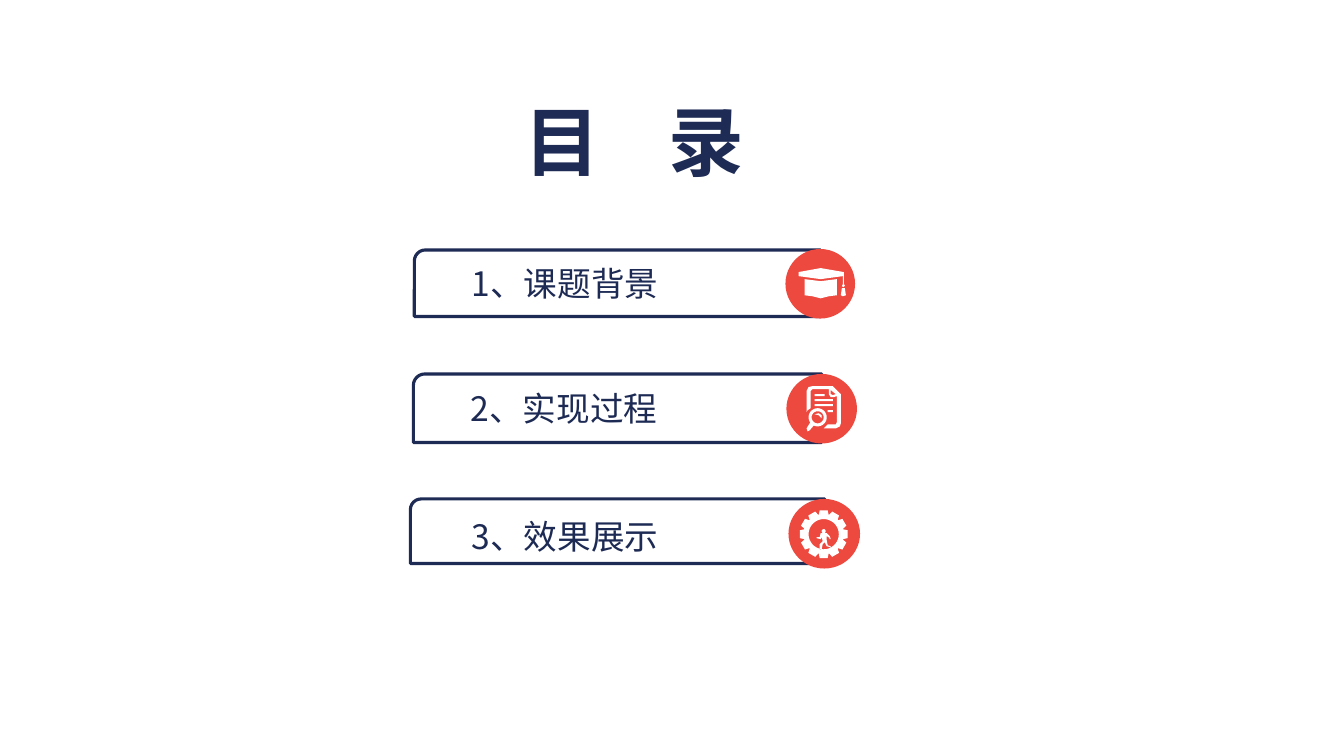
from math import cos, radians, sin

from pptx import Presentation
from pptx.dml.color import RGBColor
from pptx.enum.shapes import MSO_SHAPE
from pptx.enum.text import MSO_ANCHOR, MSO_AUTO_SIZE, PP_ALIGN
from pptx.oxml.ns import qn
from pptx.util import Inches, Pt

FRAME_SHAPE = MSO_SHAPE.ROUND_1_RECTANGLE
BADGE_SHAPE = MSO_SHAPE.OVAL
MIDDLE = MSO_ANCHOR.MIDDLE
NO_AUTOFIT = MSO_AUTO_SIZE.NONE
LEFT, CENTER = PP_ALIGN.LEFT, PP_ALIGN.CENTER

FONT = "Noto Sans CJK SC"
COLORS = {"navy": "1E2B55", "ink": "1D2A54", "red": "ED493F", "white": "FFFFFF"}
TITLE_FORMAT = {"size": Pt(54), "bold": True, "name": FONT}
ITEM_FORMAT = {"size": Pt(24), "bold": False, "name": FONT}


def color(name):
    """Return the named colour of the palette."""
    return RGBColor.from_string(COLORS[name])


def place(shape, box):
    """Move and size a shape to a box given in inches."""
    for name, value in zip(("left", "top", "width", "height"), box):
        setattr(shape, name, Inches(value))


def write_text(shape, text, font_format, color_name, alignment):
    """Fill a shape with one formatted line of text."""
    frame = shape.text_frame
    frame.word_wrap = True
    frame.auto_size = NO_AUTOFIT
    frame.vertical_anchor = MIDDLE
    paragraph = frame.paragraphs[0]
    paragraph.alignment = alignment
    run = paragraph.add_run()
    run.text = text
    for name, value in font_format.items():
        setattr(run.font, name, value)
    run.font.color.rgb = color(color_name)
    properties = run._r.get_or_add_rPr()
    east_asian = properties.makeelement(qn("a:ea"), {"typeface": FONT})
    properties.find(qn("a:latin")).addnext(east_asian)
    return run


def add_title(slide):
    """Format the title placeholder as the wide-spaced heading."""
    place(slide.shapes.title, (4.79, 0.89, 3.01, 1.01))
    run = write_text(slide.shapes.title, "目   录", TITLE_FORMAT, "navy", CENTER)
    run._r.get_or_add_rPr().set("spc", "300")


def add_label(slide, text, box):
    """Add the text of one agenda item."""
    label = slide.shapes.add_textbox(*map(Inches, box))
    write_text(label, text, ITEM_FORMAT, "ink", LEFT)


def add_frame(slide, box):
    """Add an outlined bar with its upper left corner rounded."""
    frame = slide.shapes.add_shape(FRAME_SHAPE, *map(Inches, box))
    frame.shadow.inherit = False
    frame.fill.background()
    frame.line.color.rgb = color("navy")
    frame.line.width = Pt(2.25)
    frame._element.spPr.find(qn("a:xfrm")).set("flipH", "1")


def paint(shape, color_name):
    """Give a shape a solid fill without outline or shadow."""
    shape.shadow.inherit = False
    shape.fill.solid()
    shape.fill.fore_color.rgb = color(color_name)
    shape.line.fill.background()


def add_badge(slide, box):
    """Add the red disc behind an icon."""
    paint(slide.shapes.add_shape(BADGE_SHAPE, *map(Inches, box)), "red")


def add_icon(slide, contours):
    """Add a white outline in which inner contours become holes."""
    contours = [[(Inches(x), Inches(y)) for x, y in contour] for contour in contours]
    builder = slide.shapes.build_freeform(*contours[0][0])
    builder.add_line_segments(contours[0][1:])
    for contour in contours[1:]:
        builder.move_to(*contour[0])
        builder.add_line_segments(contour[1:])
    paint(builder.convert_to_shape(), "white")


def polar(center, radius, degrees):
    """Return the point at an angle around a center."""
    angle = radians(degrees)
    return center[0] + radius * cos(angle), center[1] + radius * sin(angle)


def arc(center, radius, start=0, stop=360):
    """Return points along a circular arc in steps of ten degrees."""
    return [polar(center, radius, degrees) for degrees in range(start, stop + 1, 10)]


def bar(left, top, right, bottom):
    """Return the corners of a rectangle."""
    return [(left, top), (right, top), (right, bottom), (left, bottom)]


def cap_contours():
    """Return the graduation cap: base, board and tassel."""
    base = [(7.98, 2.77), (8.14, 2.79), (8.3, 2.77), (8.3, 2.93), (8.22, 2.94),
            (8.14, 2.96), (8.06, 2.94), (7.98, 2.93)]
    board = [(7.92, 2.7), (8.14, 2.66), (8.37, 2.7), (8.37, 2.82), (8.38, 2.83),
             (8.37, 2.85), (8.35, 2.84), (8.36, 2.82), (8.36, 2.74), (8.14, 2.77),
             (7.92, 2.74)]
    tassel = [(8.35, 2.86), (8.38, 2.86), (8.39, 2.93), (8.36, 2.94), (8.34, 2.93)]
    return [base, board, tassel]


def document_contours():
    """Return the page with text lines and a magnifier."""
    page = [(8.06, 3.83), (8.26, 3.83), (8.34, 3.91), (8.34, 4.2), (8.33, 4.23),
            (8.29, 4.25), (8.17, 4.25), (8.21, 4.21), (8.29, 4.21), (8.3, 4.19),
            (8.3, 3.93), (8.27, 3.94), (8.24, 3.94), (8.22, 3.91), (8.22, 3.86),
            (8.06, 3.86), (8.04, 3.88), (8.04, 4.05), (8.01, 4.07), (8, 4.09),
            (8, 3.88), (8.02, 3.84)]
    fold = [(8.24, 3.87), (8.29, 3.91), (8.26, 3.92), (8.24, 3.91)]
    lines = [bar(8.08, 3.91, 8.18, 3.93), bar(8.08, 3.96, 8.26, 3.98),
             bar(8.08, 4.01, 8.26, 4.03), bar(8.21, 4.07, 8.26, 4.09)]
    center = (8.11, 4.14)
    magnifier = arc(center, 0.09, 145, 475) + [(8.03, 4.27), (8.01, 4.28), (8, 4.25)]
    glint = [(8.15, 4.15), (8.12, 4.12), (8.08, 4.11), (8.12, 4.1), (8.15, 4.12)]
    return [page, fold, *lines, magnifier, arc(center, 0.06), glint]


def gear_contours():
    """Return the twelve-toothed gear with a runner in its hole."""
    center = (8.17, 5.3)
    tooth = [(0.2, -14), (0.24, -9.5), (0.24, 9.5), (0.2, 14)]
    rim = [polar(center, radius, 30 * index + offset)
           for index in range(12) for radius, offset in tooth]
    runner = [(8.14, 5.29), (8.2, 5.29), (8.23, 5.32), (8.24, 5.35), (8.23, 5.35),
              (8.22, 5.33), (8.2, 5.32), (8.2, 5.36), (8.21, 5.41), (8.24, 5.42),
              (8.24, 5.43), (8.2, 5.42), (8.18, 5.38), (8.16, 5.4), (8.15, 5.45),
              (8.13, 5.45), (8.13, 5.4), (8.16, 5.37), (8.15, 5.33), (8.14, 5.35),
              (8.1, 5.34), (8.1, 5.33), (8.13, 5.33)]
    return [rim, arc(center, 0.15), runner, arc((8.17, 5.27), 0.02)]


def main():
    """Build the agenda slide and save it."""
    presentation = Presentation()
    presentation.slide_width = Inches(13.33)
    presentation.slide_height = Inches(7.5)
    slide = presentation.slides.add_slide(presentation.slide_layouts[5])
    add_title(slide)
    agenda = [
        ("1、课题背景", (4.58, 2.56, 2.75, 0.5), (4.11, 2.48, 4.03, 0.66),
         (7.79, 2.47, 0.69, 0.69), cap_contours()),
        ("2、实现过程", (4.57, 3.8, 3.33, 0.5), (4.1, 3.71, 4.05, 0.68),
         (7.8, 3.71, 0.7, 0.69), document_contours()),
        ("3、效果展示", (4.58, 5.07, 3.28, 0.5), (4.07, 4.95, 4.11, 0.64),
         (7.82, 4.95, 0.71, 0.69), gear_contours()),
    ]
    for text, label_box, frame_box, badge_box, contours in agenda:
        add_label(slide, text, label_box)
        add_frame(slide, frame_box)
        add_badge(slide, badge_box)
        add_icon(slide, contours)
    presentation.save("out.pptx")


if __name__ == "__main__":
    main()
